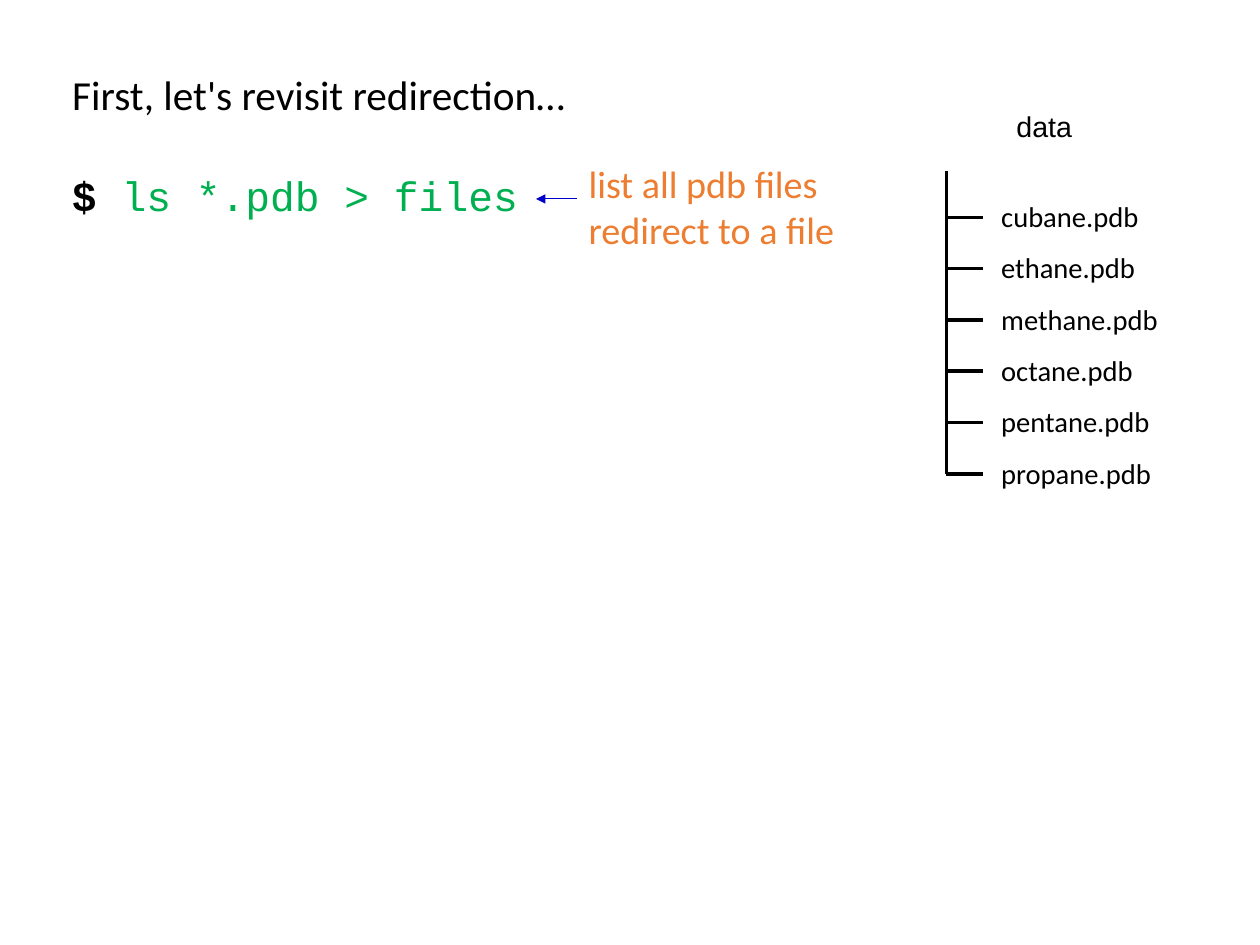
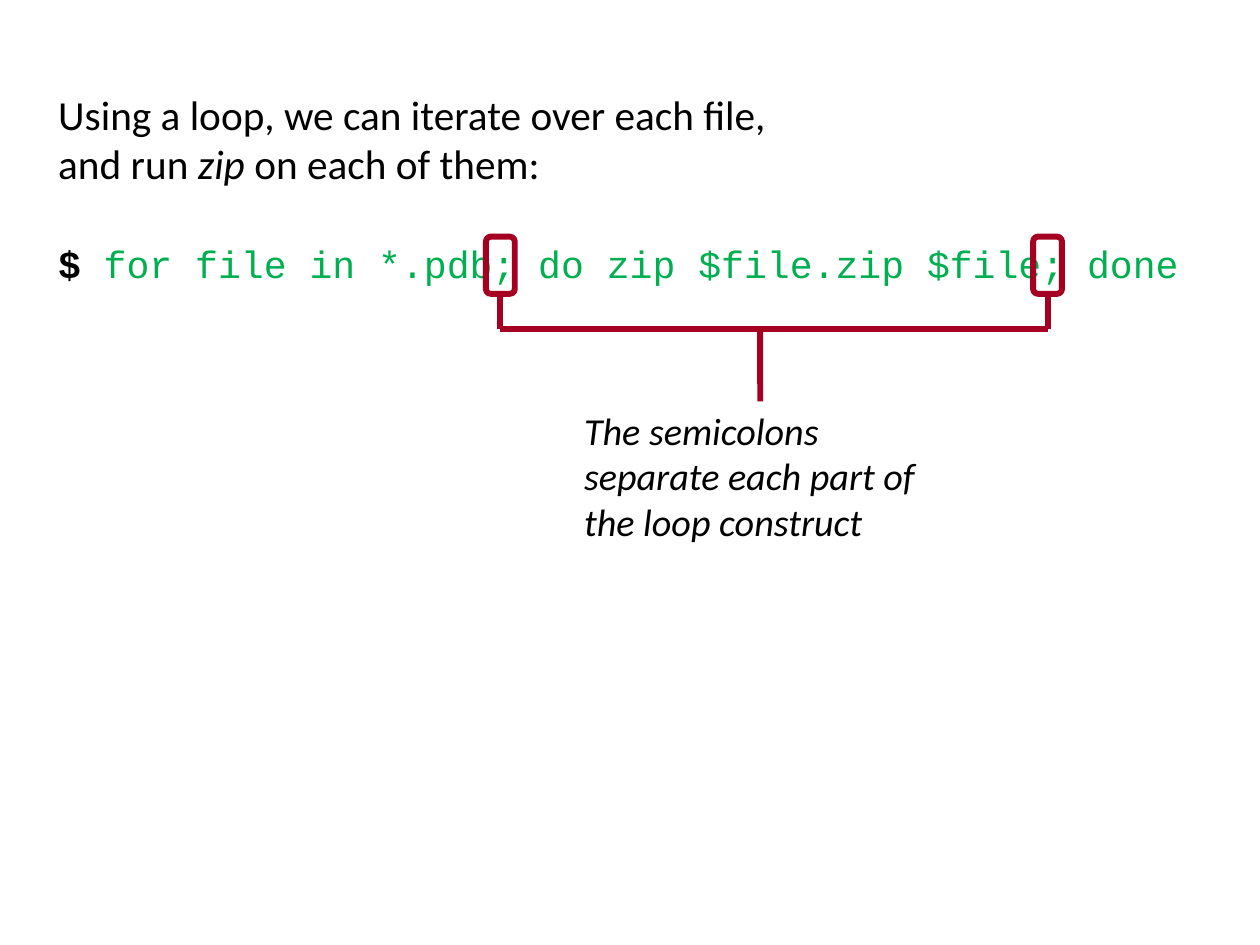
from lxml import etree
from pptx import Presentation
from pptx import util as u
from pptx.dml.color import RGBColor
from pptx.enum import shapes, text
from pptx.oxml import ns

Cm = u.Cm
COLOURS = {
    "ink": "000000",
    "code": "00B050",
    "note": "ED7D31",
    "arrow": "0000CC",
    "mark": "A50021",
}
BODY, MONO, LABEL = "Calibri", "Courier New", "Arial"


def rgb(name):
    return RGBColor.from_string(COLOURS[name])


class Deck:
    def __init__(self):
        self.prs = Presentation()
        self.prs.slide_width, self.prs.slide_height = Cm(28), Cm(21)
        self.slide = None

    def new_slide(self):
        self.slide = self.prs.slides.add_slide(self.prs.slide_layouts[5])

    def style(self, run, size, font=BODY, colour="ink", bold=False, italic=False):
        run.font.size, run.font.name = u.Pt(size), font
        run.font.bold, run.font.italic = bold, italic
        run.font.color.rgb = rgb(colour)

    def title(self, content, left, top, width, height, italic_word=None):
        title = self.slide.shapes.title
        title.left, title.top = Cm(left), Cm(top)
        title.width, title.height = Cm(width), Cm(height)
        frame = title.text_frame
        frame.text = content
        frame.word_wrap = True
        frame.auto_size = text.MSO_AUTO_SIZE.NONE
        frame.vertical_anchor = text.MSO_ANCHOR.TOP
        for line in frame.paragraphs:
            line.alignment = text.PP_ALIGN.LEFT
            if italic_word and italic_word in line.text:
                before, after = line.text.split(italic_word)
                line.text = before
                line.add_run().text = italic_word
                line.add_run().text = after
            for run in line.runs:
                self.style(run, 26, italic=run.text == italic_word)

    def text(self, content, left, top, width, height, size=24, spacing=None,
             align=text.PP_ALIGN.LEFT, wrap=True, **look):
        box = self.slide.shapes.add_textbox(Cm(left), Cm(top), Cm(width), Cm(height))
        frame = box.text_frame
        frame.text = content
        frame.word_wrap = wrap
        for line in frame.paragraphs:
            line.alignment = align
            line.line_spacing = spacing
            for run in line.runs:
                self.style(run, size, **look)
        return box

    def command(self, content, left, top, width, size):
        box = self.text("$", left, top, width, 1.3, size, font=MONO, bold=True)
        run = box.text_frame.paragraphs[0].add_run()
        run.text = " " + content
        self.style(run, size, MONO, "code")

    def line(self, x1, y1, x2, y2, colour="ink", width=2.25, arrow=False):
        line = self.slide.shapes.add_connector(
            shapes.MSO_CONNECTOR.STRAIGHT, Cm(x1), Cm(y1), Cm(x2), Cm(y2))
        line.line.color.rgb = rgb(colour)
        line.line.width = u.Pt(width)
        if arrow:
            etree.SubElement(line.line._get_or_add_ln(), ns.qn("a:tailEnd"), type="triangle")
        etree.SubElement(line._element.spPr, ns.qn("a:effectLst"))
        return line

    def frame(self, left, top, width, height):
        frame = self.slide.shapes.add_shape(
            shapes.MSO_SHAPE.ROUNDED_RECTANGLE, Cm(left), Cm(top), Cm(width), Cm(height))
        frame.shadow.inherit = False
        frame.fill.background()
        frame.line.color.rgb = rgb("mark")
        frame.line.width = u.Pt(3.75)
        return frame


def redirection(deck):
    deck.new_slide()
    deck.title("First, let's revisit redirection…", 1.35, 1.42, 18.1, 1.4)
    deck.command("ls *.pdb > files", 1.35, 3.66, 11.6, 26)
    deck.text("list all pdb files\nredirect to a file", 12.83, 3.45, 6.6, 2.39, colour="note")
    deck.line(12.83, 4.42, 11.91, 4.42, "arrow", 0.75, arrow=True)

    deck.text("data", 22.33, 2.36, 1.75, 0.97, 18, spacing=0.93,
              align=text.PP_ALIGN.CENTER, wrap=False, font=LABEL)
    molecules = ["cubane", "ethane", "methane", "octane", "pentane", "propane"]
    deck.text("\n".join(f"{name}.pdb" for name in molecules),
              22, 3.91, 4.04, 7.19, 18, spacing=1.5, wrap=False)
    trunk, first_branch, step = 21.03, 4.83, 1.14
    branches = [first_branch + step * i for i in range(len(molecules))]
    deck.line(trunk, 3.81, trunk, branches[-1])
    for y in branches:
        deck.line(trunk, y, trunk + 0.81, y)


def loop(deck):
    deck.new_slide()
    deck.title("Using a loop, we can iterate over each file,\nand run zip on each of them:",
               1.04, 1.85, 25.9, 2.5, italic_word="zip")
    deck.command("for file in *.pdb; do zip $file.zip $file; done", 1.04, 5.21, 25.9, 24)
    caption = deck.text("The semicolons separate each part of the loop construct",
                        12.73, 8.92, 8.33, 3.33, italic=True)

    bar, box_width, mark = 7.32, 0.64, {"colour": "mark", "width": 3.75}
    centres = [11.12, 23.28]
    for x in centres:
        semicolon = deck.frame(x - box_width / 2, 5.26, box_width, 1.27)
        deck.line(x, 6.53, x, bar, **mark).begin_connect(semicolon, 2)
    deck.line(centres[0], bar, centres[1], bar, **mark)
    deck.line(16.89, bar, 16.89, 8.92, **mark).end_connect(caption, 0)


def main():
    deck = Deck()
    redirection(deck)
    loop(deck)
    deck.prs.save("out.pptx")


if __name__ == "__main__":
    main()
